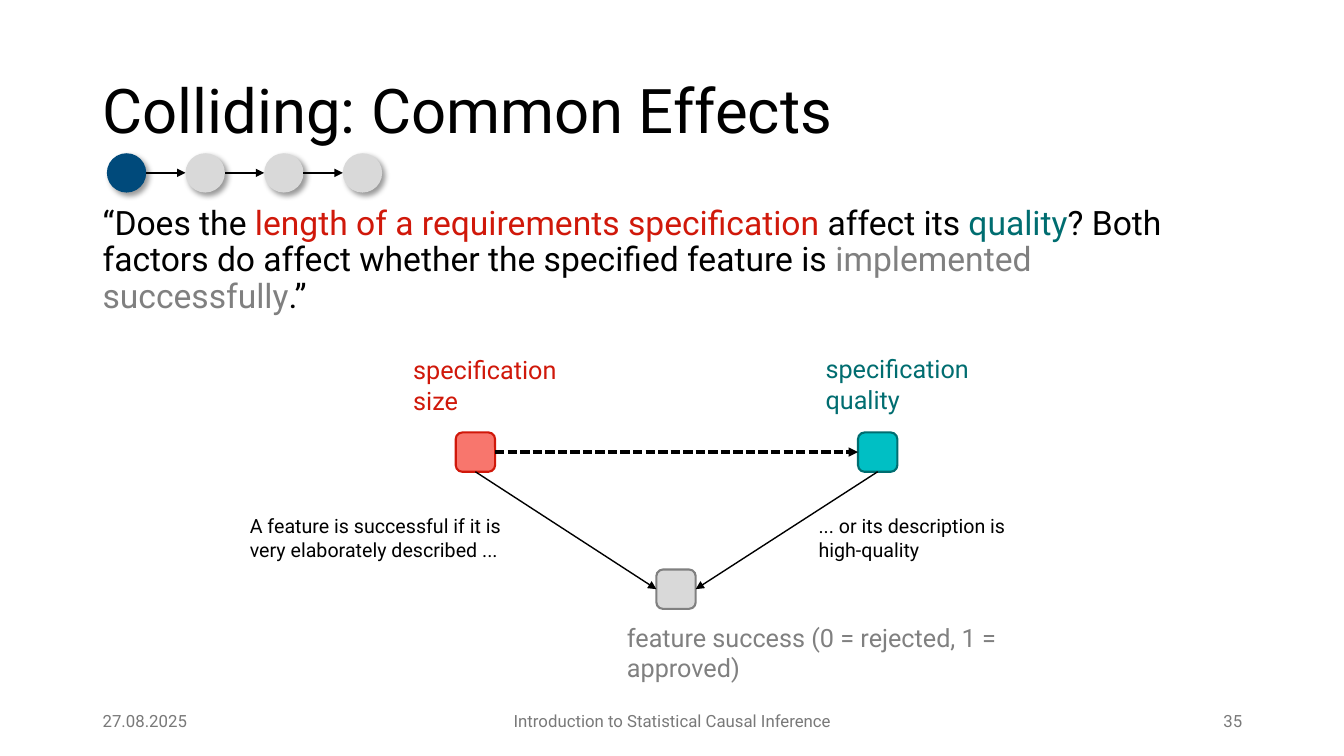
from dataclasses import dataclass

from lxml.etree import SubElement
from pptx import Presentation
from pptx.dml.color import RGBColor
from pptx.enum.dml import MSO_LINE
from pptx.enum.shapes import MSO_CONNECTOR, MSO_SHAPE
from pptx.enum.text import MSO_ANCHOR, PP_ALIGN
from pptx.oxml.ns import qn
from pptx.util import Inches, Pt

TOP, LEFT, BOTTOM, RIGHT = range(4)


@dataclass(frozen=True)
class Theme:
    font: str = "Roboto"
    black: str = "000000"
    navy: str = "004A7B"
    red: str = "D0180A"
    light_red: str = "F8766D"
    teal: str = "006D70"
    light_teal: str = "00BFC4"
    gray: str = "808080"
    light_gray: str = "D9D9D9"
    footer_gray: str = "797979"
    title_size: int = 44
    body_size: int = 24
    label_size: int = 18
    note_size: int = 14
    footer_size: int = 12


def color(value):
    return RGBColor.from_string(value)


class SlideBuilder:
    def __init__(self, slide, theme):
        self.shapes = slide.shapes
        self.theme = theme

    def text(self, content, left, top, width, height, *, size, fill=None,
             align=PP_ALIGN.LEFT, anchor=MSO_ANCHOR.TOP, line_spacing=None):
        """Add a text box; content is a string or a list of (text, color) runs."""
        box = self.shapes.add_textbox(Inches(left), Inches(top), Inches(width), Inches(height))
        frame = box.text_frame
        frame.word_wrap = True
        frame.vertical_anchor = anchor
        paragraph = frame.paragraphs[0]
        paragraph.alignment = align
        paragraph.line_spacing = line_spacing
        runs = [(content, fill or self.theme.black)] if isinstance(content, str) else content
        for words, run_color in runs:
            run = paragraph.add_run()
            run.text = words
            run.font.name = self.theme.font
            run.font.size = Pt(size)
            run.font.color.rgb = color(run_color)

    def node(self, kind, left, top, size, fill, outline=None):
        shape = self.shapes.add_shape(kind, Inches(left), Inches(top), Inches(size), Inches(size))
        shape.shadow.inherit = False
        shape.fill.solid()
        shape.fill.fore_color.rgb = color(fill)
        if outline:
            shape.line.color.rgb = color(outline)
            shape.line.width = Pt(1.5)
        else:
            shape.line.fill.background()
        return shape

    def drop_shadow(self, shape):
        effects = shape._element.spPr.find(qn("a:effectLst"))
        shadow = SubElement(effects, qn("a:outerShdw"), blurRad=str(Pt(4)), dist=str(Pt(3)),
                            dir="2700000", algn="tl", rotWithShape="0")
        shade = SubElement(shadow, qn("a:srgbClr"), val=self.theme.black)
        SubElement(shade, qn("a:alpha"), val="40000")

    def arrow(self, start=(0, 0), end=(0, 0), *, width, source=None, target=None, dash=None):
        """Draw between points, or between (shape, side) pairs given as source and target."""
        points = [Inches(value) for value in (*start, *end)]
        connector = self.shapes.add_connector(MSO_CONNECTOR.STRAIGHT, *points)
        if source:
            connector.begin_connect(*source)
        if target:
            connector.end_connect(*target)
        connector.line.color.rgb = color(self.theme.black)
        connector.line.width = Pt(width)
        if dash:
            connector.line.dash_style = dash
        properties = connector._element.spPr
        SubElement(properties.find(qn("a:ln")), qn("a:tailEnd"), type="triangle")
        SubElement(properties, qn("a:effectLst"))


def add_progress(builder):
    theme = builder.theme
    left, top, size, pitch, steps = 1.06, 1.52, 0.39, 0.78, 4
    middle = top + size / 2
    for step in range(steps):
        x = left + step * pitch
        circle = builder.node(MSO_SHAPE.OVAL, x, top, size,
                              theme.light_gray if step else theme.navy)
        builder.drop_shadow(circle)
        if step < steps - 1:
            builder.arrow((x + size, middle), (x + pitch, middle), width=1.5)


def add_diagram(builder):
    theme = builder.theme
    size, quality, success = [
        builder.node(MSO_SHAPE.ROUNDED_RECTANGLE, left, top, 0.39, fill, outline)
        for left, top, fill, outline in (
            (4.52, 4.29, theme.light_red, theme.red),
            (8.51, 4.29, theme.light_teal, theme.teal),
            (6.51, 5.65, theme.light_gray, theme.gray),
        )
    ]
    builder.arrow(source=(size, RIGHT), target=(quality, LEFT), width=2.25,
                  dash=MSO_LINE.SQUARE_DOT)
    builder.arrow(source=(size, BOTTOM), target=(success, LEFT), width=1)
    builder.arrow(source=(quality, BOTTOM), target=(success, RIGHT), width=1)

    for words, left, top, width, fill in (
        ("specification size", 4, 3.47, 2.08, theme.red),
        ("specification quality", 8.09, 3.46, 2.3, theme.teal),
        ("feature success (0 = rejected, 1 = approved)", 6.12, 6.12, 4.85, theme.gray),
    ):
        builder.text(words, left, top, width, 0.4, size=theme.label_size, fill=fill)

    for words, left, width in (
        ("A feature is successful if it is very elaborately described ...", 2.38, 3),
        ("... or its description is high-quality", 8.02, 2.12),
    ):
        builder.text(words, left, 5.05, width, 0.57, size=theme.note_size)


def add_footer(builder):
    for words, left, width, align in (
        ("27.08.2025", 0.92, 3, PP_ALIGN.LEFT),
        ("Introduction to Statistical Causal Inference", 4.42, 4.5, PP_ALIGN.CENTER),
        ("35", 9.42, 3, PP_ALIGN.RIGHT),
    ):
        builder.text(words, left, 6.95, width, 0.4, size=builder.theme.footer_size,
                     fill=builder.theme.footer_gray, align=align, anchor=MSO_ANCHOR.MIDDLE)


def main():
    presentation = Presentation()
    presentation.slide_width = Inches(13.33)
    presentation.slide_height = Inches(7.5)
    slide = presentation.slides.add_slide(presentation.slide_layouts[6])
    theme = Theme()
    builder = SlideBuilder(slide, theme)

    builder.text("Colliding: Common Effects", 0.92, 0.4, 10.4, 1.45, size=theme.title_size,
                 anchor=MSO_ANCHOR.MIDDLE, line_spacing=0.9)
    question = [
        ("“Does the ", theme.black),
        ("length of a requirements specification ", theme.red),
        ("affect its ", theme.black),
        ("quality", theme.teal),
        ("? Both factors do affect whether the specified feature is ", theme.black),
        ("implemented successfully", theme.gray),
        (".”", theme.black),
    ]
    builder.text(question, 0.92, 2, 11.5, 1.44, size=theme.body_size, line_spacing=0.9)
    add_footer(builder)
    add_progress(builder)
    add_diagram(builder)
    presentation.save("out.pptx")


if __name__ == "__main__":
    main()
